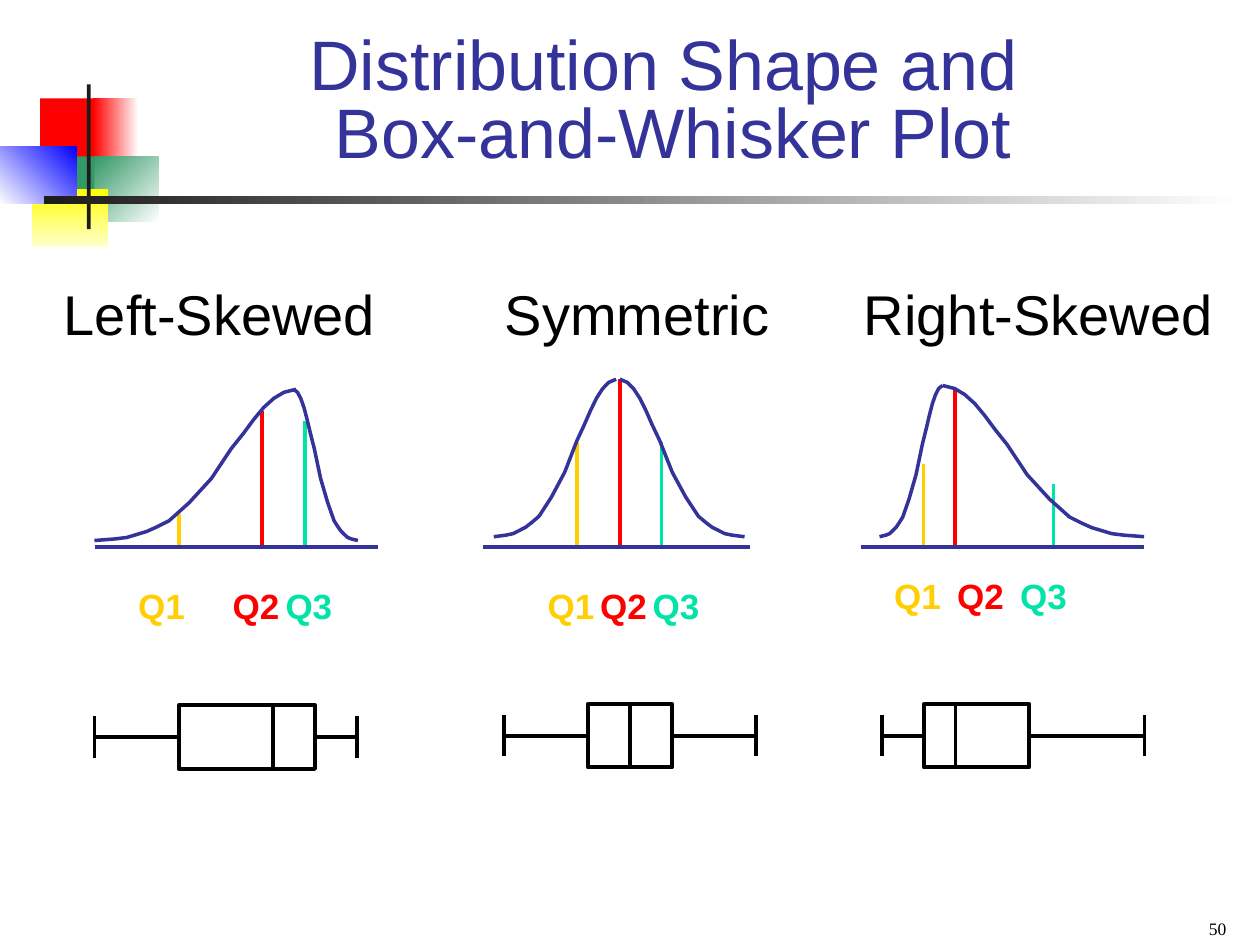
import pptx
import pptx.util
import pptx.dml.color
import pptx.enum.shapes
import pptx.enum.text
import pptx.oxml.ns
import lxml.etree

Pt = pptx.util.Pt
ALIGN = pptx.enum.text.PP_ALIGN
ANCHOR = pptx.enum.text.MSO_ANCHOR
RECTANGLE = pptx.enum.shapes.MSO_SHAPE.RECTANGLE

COLORS = {
    "white": "FFFFFF", "black": "000000", "ink": "1C1C1C", "navy": "333399",
    "red": "FF0000", "green": "339966", "yellow": "FFFF00", "cream": "FFFFCC",
    "blue": "0000FF", "gold": "FFCF01", "mint": "00E4A8",
}

TITLE_LINES = ["Distribution Shape and ", "Box-and-Whisker Plot"]
PAGE_NUMBER = "50"
QUARTILES = [("Q1", "gold"), ("Q2", "red"), ("Q3", "mint")]

# Corner ornament: left, top, width, height, colours, clockwise gradient angle
ORNAMENT = [
    (23, 56.2, 34.6, 37.4, ["red"], None),
    (53.3, 56.2, 25.9, 37.4, ["white", "red"], 180),
    (54, 89.3, 36.7, 37.4, ["white", "green"], 225),
    (31, 89.3, 23, 37.4, ["green"], None),
    (18, 108, 43.9, 33.1, ["yellow", "cream"], 90),
    (0, 83.5, 43.9, 33.1, ["blue", "white"], 135),
    (49.7, 48.2, 2.2, 82.8, ["ink"], None),
    (25.2, 112.3, 684.7, 4.3, ["white", "ink"], 180),
]

# halves: foot x and peak x; quartiles: x and top; box: low, Q1, Q2, Q3, high
PANELS = [
    {"name": "Left-Skewed", "heading": (29.5, 192.2), "axis": (54, 216),
     "foot": 308.9, "peak": 222.5,
     "halves": [(54, 169.2), (204.5, 167.8)],
     "quartiles": [(102.2, 293.8), (149.8, 234.7), (174.2, 240.5)],
     "labels": [72, 126, 156.2], "label_top": 330.5,
     "box": (54, 102.2, 156.2, 180, 203.8), "box_middle": 421.2},
    {"name": "Symmetric", "heading": (281.5, 165.6), "axis": (275.8, 428.4),
     "foot": 306.7, "peak": 216.7,
     "halves": [(282.2, 352.1), (425.5, 354.2)],
     "quartiles": [(329.8, 252.7), (354.2, 216.7), (378, 252.7)],
     "labels": [306, 336, 366], "label_top": 330.5,
     "box": (288, 336, 360, 384, 432), "box_middle": 420.4},
    {"name": "Right-Skewed", "heading": (486.7, 213.8), "axis": (491.8, 653.8),
     "foot": 306.7, "peak": 220.3,
     "halves": [(502.6, 538.6), (653.8, 538.6)],
     "quartiles": [(527.8, 265), (545.8, 221.8), (601.9, 276.5)],
     "labels": [504, 540, 576], "label_top": 324.7,
     "box": (504, 528, 546, 588, 654), "box_middle": 420.4},
]

# Half a bell from foot to peak: fraction of width, fraction of height
BELL = [(0, 0), (0.1, 0.01), (0.16, 0.02), (0.21, 0.04), (0.26, 0.06),
        (0.31, 0.09), (0.37, 0.13), (0.47, 0.25), (0.58, 0.41), (0.68, 0.61),
        (0.74, 0.71), (0.79, 0.8), (0.84, 0.88), (0.89, 0.94), (0.94, 0.98),
        (1, 1)]
AXIS_Y = 312.5
BOX_HALF, CAP_HALF = 18.2, 11.9
THIN, THICK = 2, 2.25

deck = pptx.Presentation()
deck.slide_width, deck.slide_height = Pt(720), Pt(540)
slide = deck.slides.add_slide(deck.slide_layouts[5])


def rgb(color):
    return pptx.dml.color.RGBColor.from_string(COLORS[color])


def add_run(paragraph, text, size, color, font="Arial", bold=False):
    run = paragraph.add_run()
    run.text = text
    run.font.name, run.font.size, run.font.bold = font, Pt(size), bold
    run.font.color.rgb = rgb(color)


def set_frame(frame, anchor, wrap, side):
    frame.vertical_anchor, frame.word_wrap = anchor, wrap
    frame.auto_size = pptx.enum.text.MSO_AUTO_SIZE.NONE
    frame.margin_left = frame.margin_right = Pt(side)
    frame.margin_top = frame.margin_bottom = Pt(3.6)


def add_label(text, left, top, width, height, size, color, wrap=True,
              anchor=ANCHOR.TOP, align=ALIGN.LEFT, **style):
    label = slide.shapes.add_textbox(Pt(left), Pt(top), Pt(width), Pt(height))
    set_frame(label.text_frame, anchor, wrap, 7)
    paragraph = label.text_frame.paragraphs[0]
    paragraph.alignment = align
    add_run(paragraph, text, size, color, **style)


def add_line(x1, y1, x2, y2, color, width):
    line = slide.shapes.add_connector(
        pptx.enum.shapes.MSO_CONNECTOR.STRAIGHT, Pt(x1), Pt(y1), Pt(x2), Pt(y2))
    line.line.color.rgb, line.line.width = rgb(color), Pt(width)
    lxml.etree.SubElement(line._element.spPr, pptx.oxml.ns.qn("a:effectLst"))


def add_outline(shape, color, width):
    shape.shadow.inherit = False
    shape.fill.background()
    shape.line.color.rgb, shape.line.width = rgb(color), Pt(width)


def add_half_bell(foot_x, peak_x, foot_y, peak_y):
    points = [(Pt(foot_x + (peak_x - foot_x) * across),
               Pt(foot_y + (peak_y - foot_y) * up)) for across, up in BELL]
    builder = slide.shapes.build_freeform(*points[0])
    builder.add_line_segments(points[1:], close=False)
    add_outline(builder.convert_to_shape(), "navy", THIN)


def add_box_plot(low, q1, median, q3, high, middle):
    box = slide.shapes.add_shape(RECTANGLE, Pt(q1), Pt(middle - BOX_HALF),
                                 Pt(q3 - q1), Pt(2 * BOX_HALF))
    add_outline(box, "black", THICK)
    for x, half in [(median, BOX_HALF), (low, CAP_HALF), (high, CAP_HALF)]:
        add_line(x, middle - half, x, middle + half, "black", THICK)
    for start, end in [(low, q1), (q3, high)]:
        add_line(start, middle, end, middle, "black", THICK)


# Corner ornament and title rule
for left, top, width, height, colors, angle in ORNAMENT:
    block = slide.shapes.add_shape(RECTANGLE, Pt(left), Pt(top), Pt(width), Pt(height))
    block.shadow.inherit = False
    block.line.fill.background()
    if angle is None:
        block.fill.solid()
        block.fill.fore_color.rgb = rgb(colors[0])
    else:
        block.fill.gradient()
        block.fill.gradient_angle = 360 - angle
        for stop, color in zip(block.fill.gradient_stops, colors):
            stop.color.rgb = rgb(color)

# Title
title = slide.shapes.title
title.left, title.top, title.width, title.height = Pt(77.8), Pt(41.8), Pt(613.4), Pt(59.8)
set_frame(title.text_frame, ANCHOR.BOTTOM, True, 6.5)
heading = title.text_frame.paragraphs[0]
heading.alignment, heading.line_spacing = ALIGN.CENTER, 0.8
add_run(heading, TITLE_LINES[0], 40, "navy")
heading.add_line_break()
add_run(heading, TITLE_LINES[1], 40, "navy")

# Panels: heading, quartile lines, curve, axis, quartile labels, box plot
for panel in PANELS:
    left, width = panel["heading"]
    add_label(panel["name"], left, 156.2, width, 45.4, 32, "black", wrap=False)
    for (x, top), (_, color) in zip(panel["quartiles"], QUARTILES):
        add_line(x, top, x, AXIS_Y, color, THIN)
    for foot_x, peak_x in panel["halves"]:
        add_half_bell(foot_x, peak_x, panel["foot"], panel["peak"])
    start, end = panel["axis"]
    add_line(start, AXIS_Y, end, AXIS_Y, "navy", THICK)
    for left, (name, color) in zip(panel["labels"], QUARTILES):
        add_label(name, left, panel["label_top"], 48.2, 31.7, 20, color, bold=True)
    add_box_plot(*panel["box"], panel["box_middle"])

# Page number
add_label(PAGE_NUMBER, 540, 514.8, 167.8, 25.2, 10, "black", anchor=ANCHOR.BOTTOM,
          align=ALIGN.RIGHT, font="Times New Roman")

deck.save("out.pptx")
